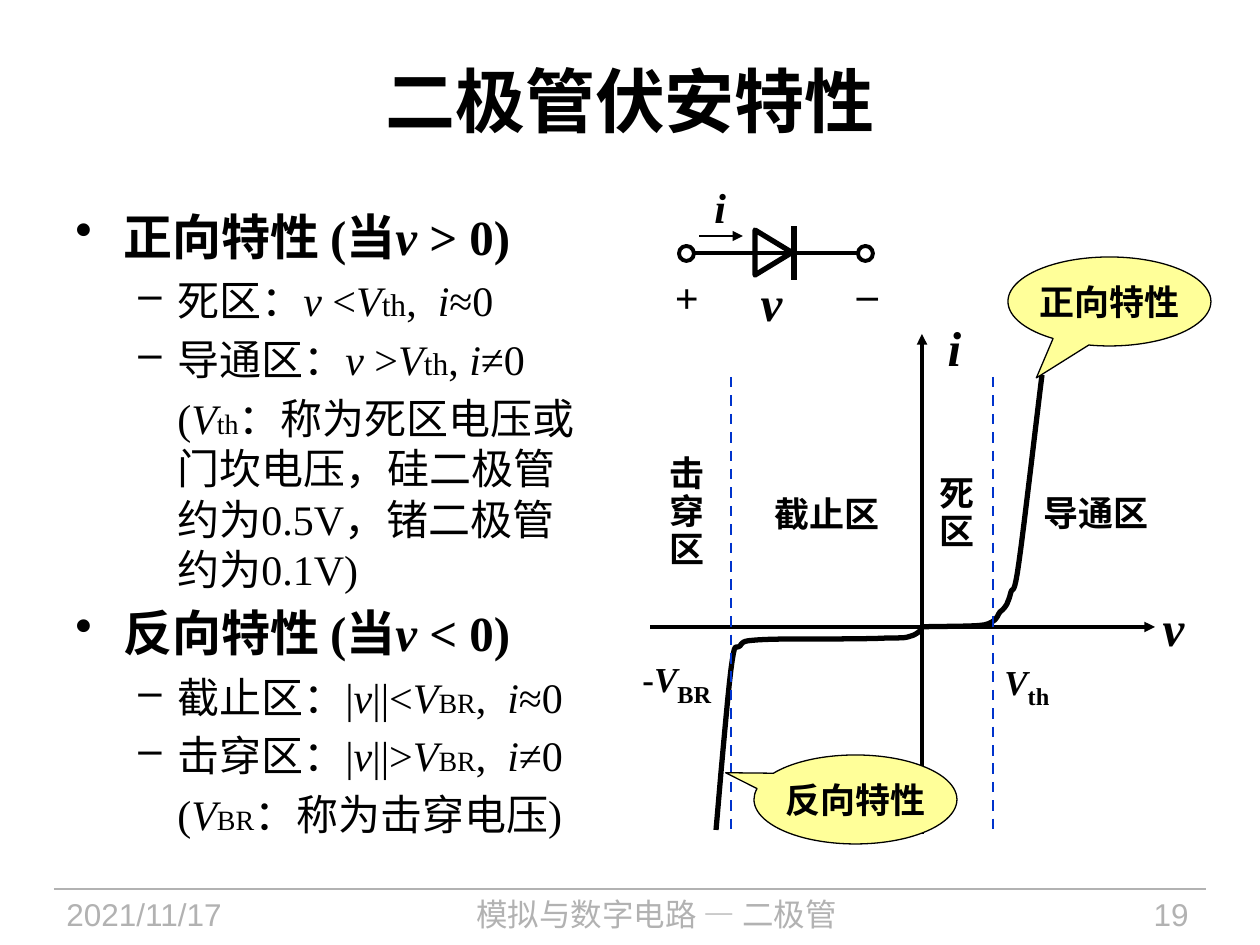
from dataclasses import dataclass
from typing import Optional

import pptx
import pptx.dml.color
import pptx.enum.dml
import pptx.enum.shapes
import pptx.enum.text
import pptx.oxml.ns
import pptx.util
from lxml import etree

EMU_PER_PIXEL = 914400 / 126
SERIF, SANS, CJK = "Times New Roman", "Arial", "Noto Sans CJK SC"
BLACK, GREY, BLUE, YELLOW = "000000", "B2B2B2", "0033CC", "FFFF99"
ALIGN = pptx.enum.text.PP_ALIGN
ANCHOR = pptx.enum.text.MSO_ANCHOR
SHAPE = pptx.enum.shapes.MSO_SHAPE
qn = pptx.oxml.ns.qn


@dataclass
class Run:
    text: str
    italic: bool = False
    size: Optional[int] = None
    baseline: int = 0


@dataclass
class Style:
    size: int = 20
    font: str = CJK
    color: str = BLACK
    bold: bool = True
    italic: bool = False
    align: ALIGN = ALIGN.LEFT
    spacing: float = 1.0
    anchor: ANCHOR = ANCHOR.TOP
    wrap: bool = True
    inset: bool = True


@dataclass
class Label:
    box: tuple
    lines: list
    style: Style


@dataclass
class Line:
    start: tuple
    end: tuple
    width: float
    color: str = BLACK
    arrow: bool = False
    dashed: bool = False


@dataclass
class Item:
    runs: list
    bullet: str = ""
    level: int = 1


def px(value: float) -> int:
    return round(value * EMU_PER_PIXEL)


def rgb(color: str) -> pptx.dml.color.RGBColor:
    return pptx.dml.color.RGBColor.from_string(color)


def format_paragraph(paragraph, runs: list, style: Style) -> None:
    for part in runs:
        run = paragraph.add_run()
        run.text = part.text
        if part.italic:
            run.font.italic = True
        if part.size:
            run.font.size = pptx.util.Pt(part.size)
        if part.baseline:
            run._r.get_or_add_rPr().set("baseline", str(part.baseline * 1000))
    paragraph.alignment = style.align
    if style.spacing != 1:
        paragraph.line_spacing = style.spacing
    font = paragraph.font
    font.size, font.name = pptx.util.Pt(style.size), style.font
    font.bold, font.italic = style.bold, style.italic
    font.color.rgb = rgb(style.color)
    defaults = paragraph._p.pPr.find(qn("a:defRPr"))
    etree.SubElement(defaults, qn("a:ea")).set("typeface", CJK)


def fill_frame(frame, lines: list, style: Style) -> None:
    frame.word_wrap, frame.vertical_anchor = style.wrap, style.anchor
    if not style.inset:
        frame.margin_left = frame.margin_right = frame.margin_top = frame.margin_bottom = 0
    for index, runs in enumerate(lines):
        paragraph = frame.add_paragraph() if index else frame.paragraphs[0]
        format_paragraph(paragraph, runs, style)


def add_label(slide, label: Label) -> None:
    shape = slide.shapes.add_textbox(*map(px, label.box))
    fill_frame(shape.text_frame, label.lines, label.style)


def add_line(slide, line: Line) -> None:
    connector = slide.shapes.add_connector(
        pptx.enum.shapes.MSO_CONNECTOR.STRAIGHT, *map(px, line.start + line.end))
    connector.line.color.rgb = rgb(line.color)
    connector.line.width = pptx.util.Pt(line.width)
    if line.dashed:
        connector.line.dash_style = pptx.enum.dml.MSO_LINE.DASH
    if line.arrow:
        etree.SubElement(connector.line._get_or_add_ln(), qn("a:headEnd")).set("type", "triangle")
    etree.SubElement(connector._element.spPr, qn("a:effectLst"))


def outline(shape, width: float, fill: str = "") -> None:
    shape.shadow.inherit = False
    shape.line.color.rgb, shape.line.width = rgb(BLACK), pptx.util.Pt(width)
    if fill:
        shape.fill.solid()
        shape.fill.fore_color.rgb = rgb(fill)
    else:
        shape.fill.background()


def add_curve(slide, start: tuple, segments: list, steps: int = 8) -> None:
    points, current = [], start
    for a, b, end in segments:
        for step in range(1, steps + 1):
            t = step / steps
            u = 1 - t
            points.append(tuple(px(u**3 * p + 3 * u * u * t * q + 3 * u * t * t * r + t**3 * s)
                                for p, q, r, s in zip(current, a, b, end)))
        current = end
    builder = slide.shapes.build_freeform(px(start[0]), px(start[1]))
    builder.add_line_segments(points, close=False)
    outline(builder.convert_to_shape(), 3)


def add_callout(slide, box: tuple, tip: tuple, text: str) -> None:
    shape = slide.shapes.add_shape(SHAPE.OVAL_CALLOUT, *map(px, box))
    shape.adjustments[0], shape.adjustments[1] = tip
    outline(shape, 0.75, YELLOW)
    fill_frame(shape.text_frame, [[Run(text)]], Style(
        font=SANS, align=ALIGN.CENTER, anchor=ANCHOR.MIDDLE, wrap=False, inset=False))


def add_body(slide, box: tuple, items: list) -> None:
    frame = slide.shapes.add_textbox(*map(px, box)).text_frame
    frame.word_wrap = True
    for index, item in enumerate(items):
        paragraph = frame.add_paragraph() if index else frame.paragraphs[0]
        paragraph.level = item.level
        margin, hanging = ((48, 48), (102, 39))[item.level]
        properties = paragraph._p.get_or_add_pPr()
        properties.set("marL", str(px(margin)))
        properties.set("indent", str(-px(hanging) if item.bullet else 0))
        if item.bullet:
            etree.SubElement(properties, qn("a:buChar")).set("char", item.bullet)
        heading = item.level == 0
        size = 24 + 4 * heading
        paragraph.space_after = pptx.util.Pt(size * 0.2)
        format_paragraph(paragraph, item.runs, Style(size, SERIF, bold=heading))


def heading(name: str, sign: str) -> Item:
    return Item([Run(f"{name} (当"), Run("v ", True), Run(f"{sign} 0)")], "•", 0)


def region(name: str, bar: str, sign: str, mark: Run, comma: str, result: str) -> Item:
    voltage = [Run("v ", True)] if not bar else [Run("v", True), Run(bar)]
    return Item([Run(f"{name}：{bar}"), *voltage, Run(sign), Run("V", True), mark,
                 Run(comma), Run("i", True), Run(result)], "–")


presentation = pptx.Presentation()
presentation.slide_width, presentation.slide_height = px(1260), px(945)
slide = presentation.slides.add_slide(presentation.slide_layouts[5])

# Title and footer
title = slide.shapes.title
title.left, title.top, title.width, title.height = map(px, (63, 21, 1134, 158))
fill_frame(title.text_frame, [[Run("二极管伏安特性")]],
           Style(40, SERIF, align=ALIGN.CENTER, anchor=ANCHOR.MIDDLE))
add_line(slide, Line((54, 889), (1206, 889), 0.75, GREY))
for left, width, text, font, align in (
        (54, 237, "2021/11/17", SANS, ALIGN.LEFT),
        (302, 709, "模拟与数字电路 — 二极管", CJK, ALIGN.CENTER),
        (1033, 168, "19", SANS, ALIGN.RIGHT)):
    add_label(slide, Label((left, 889, width, 55), [[Run(text)]],
                           Style(18, font, GREY, False, align=align)))

# Characteristic curves: forward, then reverse
add_curve(slide, (922, 627), [
    ((932, 626), (970, 627), (984, 625)), ((997, 622), (997, 616), (1000, 612)),
    ((1004, 609), (1005, 607), (1007, 604)), ((1008, 601), (1009, 600), (1011, 592)),
    ((1013, 586), (1014, 598), (1019, 562)), ((1024, 527), (1037, 415), (1042, 375))])
add_curve(slide, (922, 629), [
    ((921, 630), (916, 635), (911, 636)), ((905, 638), (905, 638), (888, 638)),
    ((872, 639), (834, 639), (813, 639)), ((791, 639), (770, 639), (757, 640)),
    ((745, 641), (743, 641), (740, 646)), ((735, 650), (735, 639), (731, 669)),
    ((727, 701), (719, 796), (716, 830))])

# Axes, region borders and the wires of the diode
for line in (
        Line((922, 334), (922, 834), 2, arrow=True),
        Line((1155, 627), (650, 627), 2, arrow=True),
        Line((731, 377), (731, 834 - 4), 1.5, BLUE, dashed=True),
        Line((993, 377), (993, 834 - 4), 1.5, BLUE, dashed=True),
        Line((794, 280), (794, 226), 3),
        Line((694, 253), (858, 253), 2.25),
        Line((743, 236), (699, 236), 1.5, arrow=True)):
    add_line(slide, line)

# Diode body and terminals
triangle = slide.shapes.add_shape(SHAPE.ISOSCELES_TRIANGLE, *map(px, (751, 234, 45, 37)))
triangle.rotation = 90
outline(triangle, 3)
for left in (679, 858):
    outline(slide.shapes.add_shape(SHAPE.OVAL, *map(px, (left, 246, 15, 15))), 2.25)

# Labels
variable = Style(28, SERIF, italic=True, align=ALIGN.CENTER, anchor=ANCHOR.MIDDLE, wrap=False)
zone = Style(align=ALIGN.CENTER, spacing=0.9, anchor=ANCHOR.MIDDLE)
polarity = Style(24, SERIF, wrap=False, inset=False)
for label in (
        Label((1150, 591, 47, 72), [[Run("v")]], variable),
        Label((927, 311, 55, 72), [[Run("i")]], variable),
        Label((748, 266, 47, 72), [[Run("v")]], variable),
        Label((702, 175, 37, 63), [[Run("i")]], Style(24, SERIF, italic=True, wrap=False)),
        Label((675, 272, 24, 50), [[Run("+")]], polarity),
        Label((857, 268, 21, 50), [[Run("–")]], polarity),
        Label((927, 470, 59, 88), [[Run("死")], [Run("区")]],
              Style(spacing=0.9, anchor=ANCHOR.MIDDLE)),
        Label((755, 491, 144, 50), [[Run("截止区")]], zone),
        Label((1014, 490, 164, 50), [[Run("导通区")]], zone),
        Label((650, 450, 74, 126), [[Run("击穿区")]], zone),
        Label((992, 630, 74, 62), [[Run("V", True), Run("th", size=24, baseline=-25)]],
              Style(font=SERIF, spacing=1.3, wrap=False)),
        Label((630, 633, 100, 59), [[Run("-"), Run("V", True), Run("BR", size=24, baseline=-25)]],
              Style(font=SERIF, spacing=1.2, wrap=False))):
    add_label(slide, label)

# Callouts
add_callout(slide, (1008, 257, 203, 89), (-0.36, 0.86), "正向特性")
add_callout(slide, (754, 755, 203, 89), (-0.64, -0.3), "反向特性")

# Explanation
threshold, breakdown = Run("th", size=18), Run("BR", size=16)
add_body(slide, (63, 200, 542, 679), [
    heading("正向特性", ">"),
    region("死区", "", "<", threshold, ",  ", "≈0"),
    region("导通区", "", ">", threshold, ", ", "≠0"),
    Item([Run("("), Run("V", True), Run("th", size=16),
          Run("：称为死区电压或门坎电压，硅二极管约为0.5V，锗二极管约为0.1V)")]),
    heading("反向特性", "<"),
    region("截止区", "|", "|<", breakdown, ",  ", "≈0"),
    region("击穿区", "|", "|>", breakdown, ",  ", "≠0"),
    Item([Run("("), Run("V", True), breakdown, Run("：称为击穿电压)")])])

presentation.save("out.pptx")
